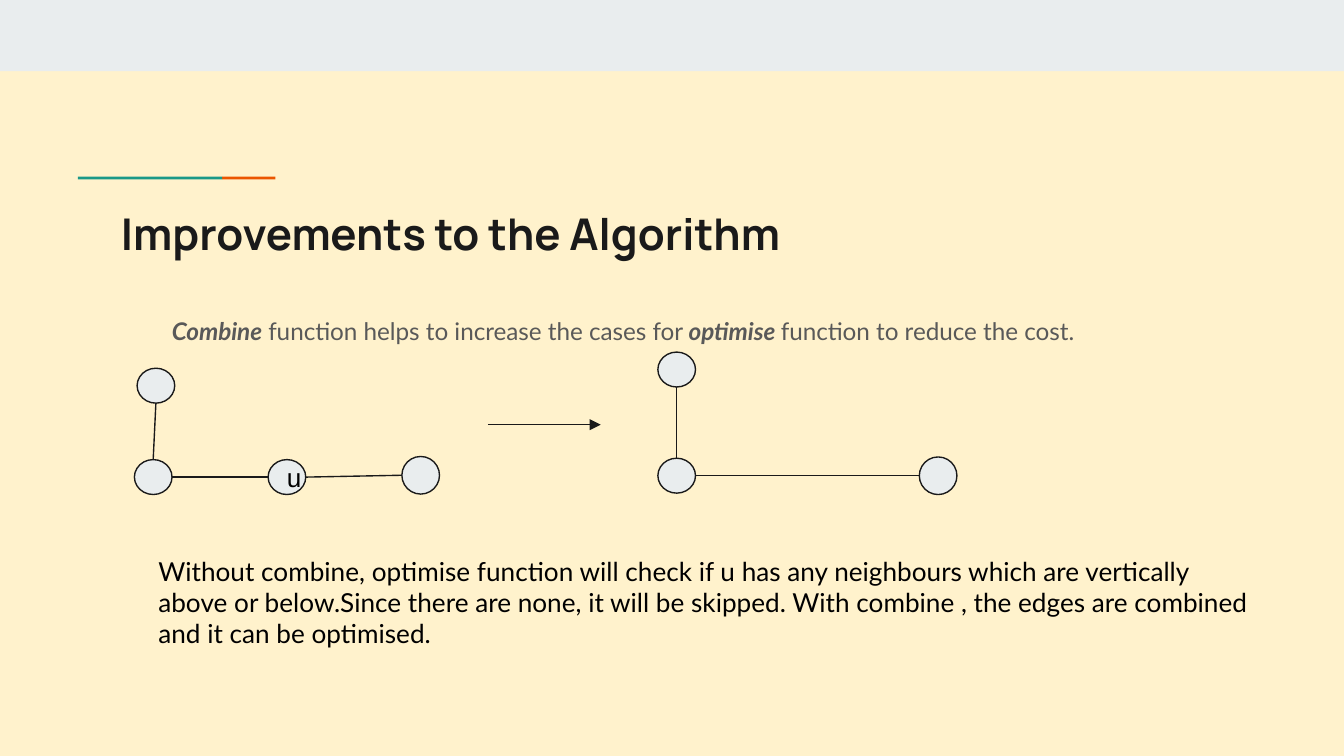
from dataclasses import dataclass

from lxml.etree import SubElement
from pptx import Presentation
from pptx.dml.color import RGBColor
from pptx.enum.shapes import MSO_CONNECTOR, MSO_SHAPE
from pptx.enum.text import MSO_ANCHOR, PP_ALIGN
from pptx.oxml.ns import qn
from pptx.util import Inches, Pt

UNIT = 0.1  # inches per grid column and row
COLUMNS, ROWS = 100, 56.25


@dataclass(frozen=True)
class Theme:
    background: str = "FFF2CC"
    pale: str = "E9EDEE"
    teal: str = "1A9988"
    orange: str = "EB5600"
    ink: str = "1A1A1A"
    grey: str = "595959"
    black: str = "000000"
    heading_font: str = "Manrope"
    body_font: str = "Lato"
    label_font: str = "Arial"
    heading_size: float = 23.4
    lead_size: float = 13
    body_size: float = 14
    line_width: float = 0.75


@dataclass(frozen=True)
class Box:
    """Left, top, width and height in grid columns and rows."""
    x: float
    y: float
    w: float
    h: float

    def point(self, across, down):
        return self.x + across * self.w, self.y + down * self.h

    def strip(self, start, share):
        return Box(self.x + start * self.w, self.y, share * self.w, self.h)

    def lengths(self):
        return [grid(value) for value in (self.x, self.y, self.w, self.h)]


THEME = Theme()


def grid(units):
    return Inches(units * UNIT)


def color(code):
    return RGBColor.from_string(code)


def add_run(paragraph, text, font, size, ink, bold=False, italic=False):
    run = paragraph.add_run()
    run.text = text
    run.font.name, run.font.size = font, Pt(size)
    run.font.bold, run.font.italic = bold, italic
    run.font.color.rgb = color(ink)


def prepare_frame(frame, anchor=MSO_ANCHOR.TOP):
    """Set wrapping, insets and anchor; return the first paragraph."""
    frame.word_wrap = True
    frame.vertical_anchor = anchor
    frame.margin_left = frame.margin_right = grid(1)
    frame.margin_top = frame.margin_bottom = grid(1)
    paragraph = frame.paragraphs[0]
    paragraph.alignment = PP_ALIGN.LEFT
    return paragraph


def add_filled(slide, preset, box, fill, outline=None):
    shape = slide.shapes.add_shape(preset, *box.lengths())
    shape.shadow.inherit = False
    shape.fill.solid()
    shape.fill.fore_color.rgb = color(fill)
    if outline:
        shape.line.color.rgb = color(outline)
        shape.line.width = Pt(THEME.line_width)
    else:
        shape.line.fill.background()
    return shape


def add_line(slide, start, end, arrow=False):
    line = slide.shapes.add_connector(
        MSO_CONNECTOR.STRAIGHT, *map(grid, (*start, *end)))
    line.line.color.rgb = color(THEME.ink)
    line.line.width = Pt(THEME.line_width)
    properties = line._element.spPr
    if arrow:
        SubElement(properties.get_or_add_ln(), qn("a:tailEnd"), type="triangle")
    SubElement(properties, qn("a:effectLst"))


def add_banner(slide, box):
    add_filled(slide, MSO_SHAPE.RECTANGLE, box, THEME.pale)


def add_accent(slide, box, teal_share):
    add_filled(slide, MSO_SHAPE.RECTANGLE, box.strip(teal_share, 1 - teal_share), THEME.orange)
    add_filled(slide, MSO_SHAPE.RECTANGLE, box.strip(0, teal_share), THEME.teal)


def add_heading(slide, box, text):
    title = slide.shapes.title
    title.left, title.top, title.width, title.height = box.lengths()
    paragraph = prepare_frame(title.text_frame, MSO_ANCHOR.MIDDLE)
    add_run(paragraph, text, THEME.heading_font, THEME.heading_size, THEME.ink, bold=True)


def add_lead(slide, box, pieces):
    """Write the lead sentence from (text, emphasised) pieces."""
    paragraph = prepare_frame(slide.shapes.add_textbox(*box.lengths()).text_frame)
    paragraph.line_spacing = 1.15
    paragraph._p.get_or_add_pPr().set("marL", str(grid(5)))
    for text, strong in pieces:
        add_run(paragraph, text, THEME.body_font, THEME.lead_size, THEME.grey, strong, strong)


def add_explanation(slide, box, text):
    paragraph = prepare_frame(slide.shapes.add_textbox(*box.lengths()).text_frame)
    add_run(paragraph, text, THEME.body_font, THEME.body_size, THEME.black)


def add_graph(slide, box, nodes, upright, level):
    """Draw nodes {name: (across, down, height)} centred on shares of the box."""
    width = 2.8
    circles = {}
    for name, (across, down, height) in nodes.items():
        x, y = box.point(across, down)
        circles[name] = Box(x - width / 2, y - height / 2, width, height)
    for lower, upper in upright:
        add_line(slide, circles[lower].point(0.5, 0), circles[upper].point(0.5, 1))
    for left, right in level:
        add_line(slide, circles[left].point(1, 0.5), circles[right].point(0, 0.5))
    for name, circle in circles.items():
        node = add_filled(slide, MSO_SHAPE.OVAL, circle, THEME.pale, THEME.ink)
        if name == "u":
            paragraph = prepare_frame(node.text_frame, MSO_ANCHOR.MIDDLE)
            add_run(paragraph, name, THEME.label_font, THEME.body_size, THEME.black)


def build_slide(deck):
    slide = deck.slides.add_slide(deck.slide_layouts[5])
    slide.background.fill.solid()
    slide.background.fill.fore_color.rgb = color(THEME.background)

    add_banner(slide, Box(0, 0, COLUMNS, 5.3))
    add_accent(slide, Box(5.8, 13.15, 14.7, 0.2), teal_share=0.73)
    add_heading(slide, Box(8, 14.4, 84.1, 5.9), "Improvements to the Algorithm")
    add_lead(slide, Box(6.8, 22.2, 84.1, 24.7), [
        ("Combine", True),
        (" function helps to increase the cases for ", False),
        ("optimise ", True),
        ("function to reduce the cost.", False),
    ])
    add_graph(
        slide, Box(11.4, 28.7, 19.9, 6.8),
        {"top": (0.01, 0, 2.6), "corner": (0, 1, 2.6),
         "u": (0.5, 1, 2.6), "end": (1, 0.98, 2.8)},
        upright=[("corner", "top")], level=[("corner", "u"), ("u", "end")])
    add_line(slide, (36.3, 31.6), (44.7, 31.6), arrow=True)
    add_graph(
        slide, Box(50.35, 27.5, 19.45, 7.9),
        {"top": (0, 0, 2.6), "corner": (0, 1, 2.6), "end": (1, 1, 2.8)},
        upright=[("corner", "top")], level=[("corner", "end")])
    add_explanation(
        slide, Box(10.8, 40.3, 83.8, 9.1),
        "Without combine, optimise function will check if u has any neighbours "
        "which are vertically above or below.Since there are none, it will be "
        "skipped. With combine , the edges are combined and it can be optimised.")


def main():
    deck = Presentation()
    deck.slide_width, deck.slide_height = grid(COLUMNS), grid(ROWS)
    build_slide(deck)
    deck.save("out.pptx")


if __name__ == "__main__":
    main()
